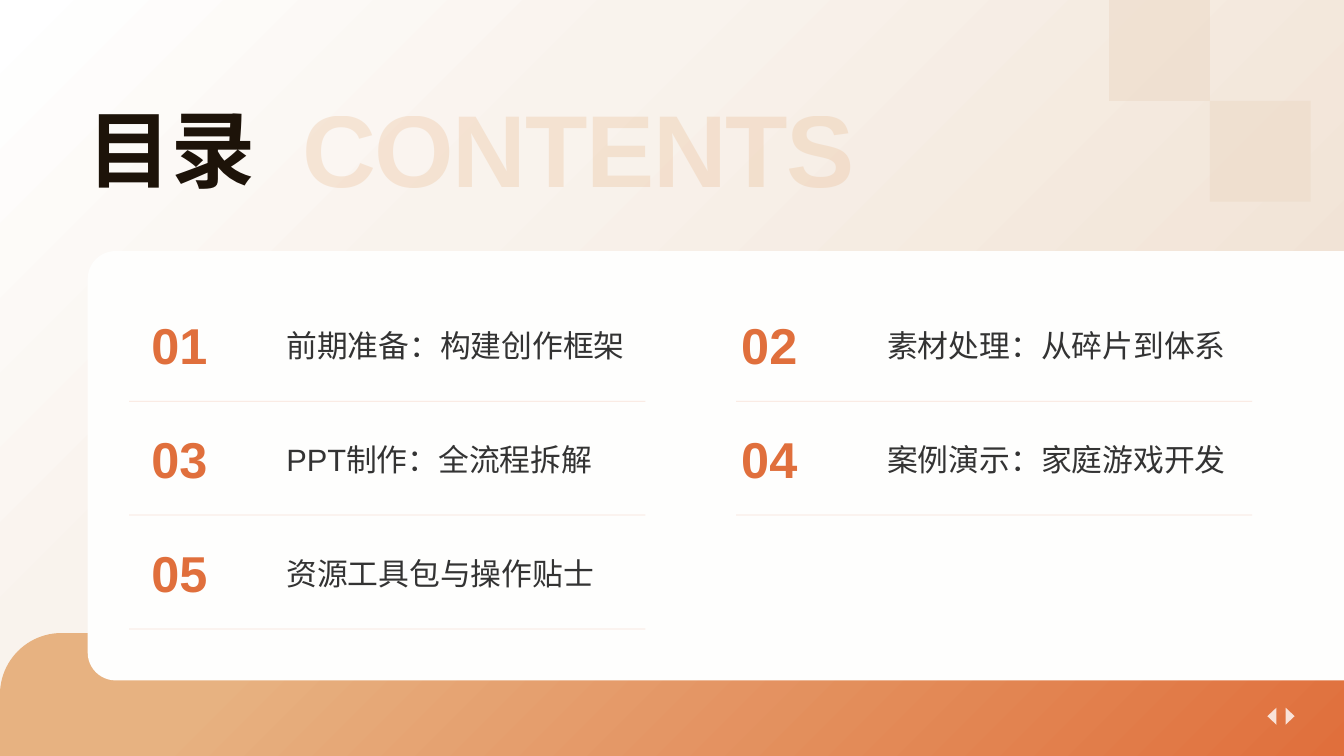
from math import acos, asin, cos, pi, sin

from lxml import etree
from pptx import Presentation
from pptx.dml.color import RGBColor
from pptx.enum.shapes import MSO_CONNECTOR, MSO_SHAPE
from pptx.enum.text import MSO_ANCHOR, PP_ALIGN
from pptx.oxml import parse_xml
from pptx.oxml.ns import qn
from pptx.util import Inches, Pt

LINE = MSO_CONNECTOR.STRAIGHT
RECT, TRIANGLE = MSO_SHAPE.RECTANGLE, MSO_SHAPE.ISOSCELES_TRIANGLE
ONE_ROUND, TWO_ROUND = MSO_SHAPE.ROUND_1_RECTANGLE, MSO_SHAPE.ROUND_2_SAME_RECTANGLE
TOP, MIDDLE, BOTTOM = MSO_ANCHOR.TOP, MSO_ANCHOR.MIDDLE, MSO_ANCHOR.BOTTOM
LEFT, CENTER = PP_ALIGN.LEFT, PP_ALIGN.CENTER

# Content
TITLE, SUBTITLE = "目录", "CONTENTS"
CHAPTERS = ["前期准备：构建创作框架", "素材处理：从碎片到体系", "PPT制作：全流程拆解",
            "案例演示：家庭游戏开发", "资源工具包与操作贴士"]

# Colours
ORANGE, SAND, BEIGE = "E06F3C", "E7B281", "EDDBC9"
INK, GREY, CARD, PALE = "1D1309", "333333", "FEFEFD", "F9E2D8"
BACKDROP = [(0, "FFFFFF"), (32, "F9F3ED"), (100, BEIGE)]
FOOTER = [(18, SAND), (100, ORANGE)]

# Layout in inches
W, H = 13.33, 7.5
MARGIN = 0.87
CARD_TOP, CARD_H = 2.49, 4.26
FOOT_TOP = 6.28
ROW_TOP, ROW_H = 3.03, 1.13
COLUMNS = [dict(number=1.28, text=2.84, rule=1.28), dict(number=7.13, text=8.8, rule=7.3)]
RULE_W = 5.12
RING = dict(cx=13.17, cy=-0.32, outer=2.27, inner=1.46)
DOTS = dict(x=10.83, y=0.38, dx=0.104, dy=0.095, cols=6, rows=4, r=0.02)

prs = Presentation()
prs.slide_width, prs.slide_height = Inches(W), Inches(H)
s = prs.slides.add_slide(prs.slide_layouts[6])


def rgb(color):
    return RGBColor.from_string(color)


def set_alpha(fill_parent, percent):
    for color in fill_parent.iter(qn("a:srgbClr")):
        etree.SubElement(color, qn("a:alpha")).set("val", str(percent * 1000))


def paint(sp, color, alpha=None):
    sp.shadow.inherit = False
    sp.fill.solid()
    sp.fill.fore_color.rgb = rgb(color)
    sp.line.fill.background()
    if alpha is not None:
        set_alpha(sp.fill._xPr, alpha)
    return sp


def shape(kind, x, y, w, h, color, turn=0):
    sp = s.shapes.add_shape(kind, Inches(x), Inches(y), Inches(w), Inches(h))
    sp.rotation = turn
    return paint(sp, color)


def gradient(sp, stops, angle):
    gs = "".join(f'<a:gs pos="{pos * 1000}"><a:srgbClr val="{c}"/></a:gs>' for pos, c in stops)
    xml = ('<a:gradFill xmlns:a="http://schemas.openxmlformats.org/drawingml/2006/main" '
           f'rotWithShape="1"><a:gsLst>{gs}</a:gsLst>'
           f'<a:lin ang="{angle * 60000}" scaled="0"/></a:gradFill>')
    solid = sp._element.spPr.find(qn("a:solidFill"))
    solid.getparent().replace(solid, parse_xml(xml))


def arc(cx, cy, r, start, end, steps):
    """Points on a circle; angles run from straight down towards the right."""
    angles = [start + (end - start) * i / steps for i in range(steps + 1)]
    return [(cx + r * sin(t), cy + r * cos(t)) for t in angles]


def outline(contours, color, alpha):
    fb = s.shapes.build_freeform(*contours[0][0], scale=Inches(1))
    for i, points in enumerate(contours):
        if i:
            fb.move_to(*points[0])
        fb.add_line_segments(points[1:], close=True)
    return paint(fb.convert_to_shape(), color, alpha)


def text(words, x, y, w, h, size, color, bold=False, align=LEFT, anchor=MIDDLE, inset=0):
    tf = s.shapes.add_textbox(Inches(x), Inches(y), Inches(w), Inches(h)).text_frame
    tf.word_wrap = True
    tf.vertical_anchor = anchor
    tf.margin_left = tf.margin_right = Inches(2 * inset)
    tf.margin_top = tf.margin_bottom = Inches(inset)
    p = tf.paragraphs[0]
    p.alignment = align
    r = p.add_run()
    r.text = words
    r.font.name, r.font.size, r.font.bold = "Arial", Pt(size), bold
    r.font.color.rgb = rgb(color)
    return r


def rule(x, y, w):
    line = s.shapes.add_connector(LINE, Inches(x), Inches(y), Inches(x + w), Inches(y))
    line.line.color.rgb = rgb(ORANGE)
    line.line.width = Pt(0.5)
    set_alpha(line.line._ln, 20)
    etree.SubElement(line._element.spPr, qn("a:effectLst"))


# Backdrop and footer band
gradient(shape(RECT, 0, 0, W, H, BEIGE), BACKDROP, 45)
band = shape(ONE_ROUND, 0, FOOT_TOP, W, H - FOOT_TOP, SAND)
band.adjustments[0] = 0.5
band._element.spPr.xfrm.set("flipH", "1")
gradient(band, FOOTER, 135)

# Ring cut off by the top and right edges
edges = []
for radius in (RING["outer"], RING["inner"]):
    start, end = -acos(-RING["cy"] / radius), asin((W - RING["cx"]) / radius)
    edges.append(arc(RING["cx"], RING["cy"], radius, start, end, 48))
outline([edges[0] + edges[1][::-1]], BEIGE, 60)

# Card rounded on its left side: an upright shape turned a quarter
card_w = W - MARGIN
card = shape(TWO_ROUND, MARGIN + (card_w - CARD_H) / 2, CARD_TOP + (CARD_H - card_w) / 2,
             CARD_H, card_w, CARD, turn=270)
card.adjustments[0] = 0.065

# Page arrows
for x, turn in ((12.53, 270), (12.71, 90)):
    shape(TRIANGLE, x, 7.06, 0.17, 0.09, PALE, turn)

# Dot grid
outline([arc(DOTS["x"] + col * DOTS["dx"], DOTS["y"] + row * DOTS["dy"], DOTS["r"], 0, 2 * pi, 12)
         for col in range(DOTS["cols"]) for row in range(DOTS["rows"])], ORANGE, 50)

# Heading with an outlined subtitle
text(TITLE, MARGIN, 0.79, 1.95, 1.18, 60, INK, bold=True, anchor=BOTTOM)
r = text(SUBTITLE, 3, 0.86, 5.8, 1.2, 73, SAND, bold=True)
rPr = r.font._element
set_alpha(rPr, 25)
rPr.set("spc", "-100")

# Chapters, two to a row
for i, chapter in enumerate(CHAPTERS):
    row, col = divmod(i, 2)
    at, y = COLUMNS[col], ROW_TOP + row * ROW_H
    rule(at["rule"], y + 0.95, RULE_W)
    text(f"{i + 1:02}", at["number"], y + 0.04, 1, 0.71, 36, ORANGE,
         bold=True, align=CENTER, anchor=TOP, inset=0.05)
    text(chapter, at["text"], y, 3.61, 0.79, 22, GREY)

prs.save("out.pptx")
